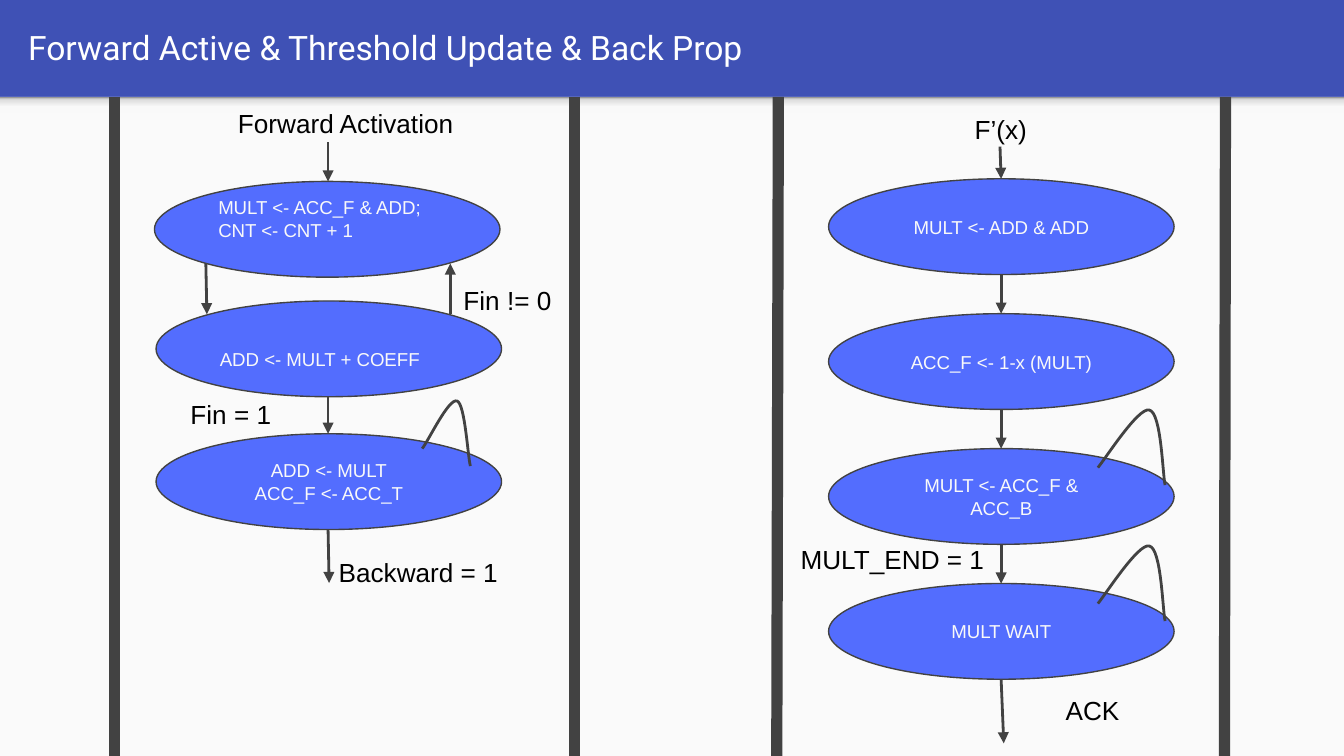
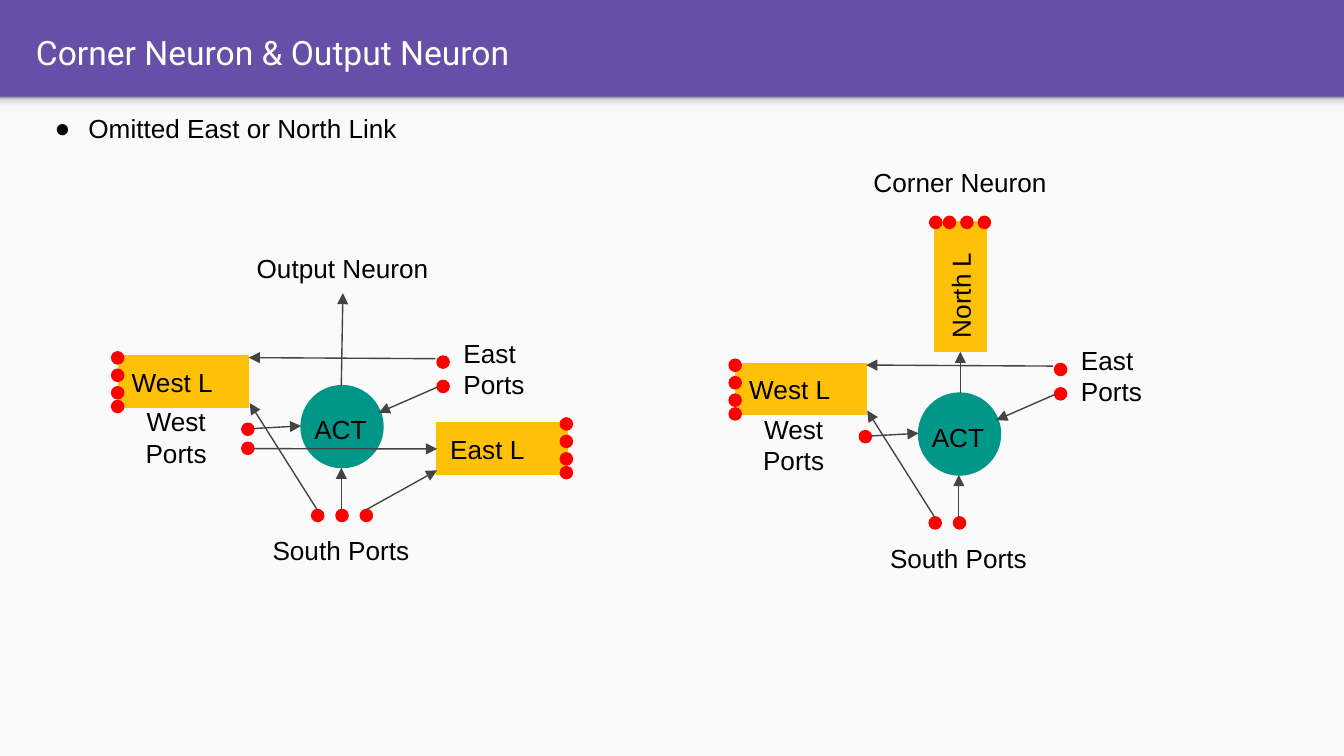
import dataclasses

import pptx
import pptx.dml.color
import pptx.enum.shapes
import pptx.enum.text
import pptx.oxml.ns
import pptx.util
from lxml import etree

Cm = pptx.util.Cm
Pt = pptx.util.Pt
RGB = pptx.dml.color.RGBColor.from_string
qn = pptx.oxml.ns.qn
SHAPE = pptx.enum.shapes.MSO_SHAPE
ANCHOR = pptx.enum.text.MSO_ANCHOR
LEFT = pptx.enum.text.PP_ALIGN.LEFT
CENTER = pptx.enum.text.PP_ALIGN.CENTER


@dataclasses.dataclass(frozen=True)
class Theme:
    blue_band: str = "3F51B5"
    purple_band: str = "674EA7"
    panel: str = "FAFAFA"
    white: str = "FFFFFF"
    black: str = "000000"
    state: str = "536DFE"
    state_text: str = "F9F9F9"
    flow_line: str = "424242"
    port_line: str = "434343"
    link_box: str = "FFC107"
    neuron: str = "009688"
    port: str = "FF0000"
    shade: tuple = ((0, "F9F9F9"), (36, "F9F9F9"), (80, "DEDEDE"), (100, "999999"))
    title_font: str = "Roboto"
    body_font: str = "Arial"
    title_size: int = 18
    label_size: int = 14
    state_size: int = 10
    thin: float = 0.75
    medium: float = 1.5
    rail: float = 6
    inset: float = 0.25


theme = Theme()


def put(shapes, kind, place, lines=(), align=LEFT, fill=None, outline=None,
        size=theme.label_size, color=theme.black, shift=0):
    left, top, width, height = [Cm(value) for value in place]
    if kind is None:
        box = shapes.add_textbox(left, top, width, height)
    else:
        box = shapes.add_shape(kind, left, top, width, height)
        box.shadow.inherit = False
        box.fill.solid()
        box.fill.fore_color.rgb = RGB(fill)
        if outline:
            box.line.color.rgb = RGB(outline)
            box.line.width = Pt(theme.thin)
        else:
            box.line.fill.background()
    frame = box.text_frame
    frame.word_wrap = True
    frame.vertical_anchor = ANCHOR.TOP if kind is None else ANCHOR.MIDDLE
    frame.margin_left = frame.margin_right = Cm(theme.inset)
    frame.margin_top = Cm(theme.inset + shift)
    frame.margin_bottom = Cm(theme.inset - shift)
    for index, line in enumerate(lines):
        para = frame.add_paragraph() if index else frame.paragraphs[0]
        para.alignment = align
        span = para.add_run()
        span.text = line
        span.font.name = theme.body_font
        span.font.size = Pt(size)
        span.font.color.rgb = RGB(color)
    return box


def link(shapes, start, end, color, width, arrow=True):
    line = shapes.add_connector(
        pptx.enum.shapes.MSO_CONNECTOR.STRAIGHT,
        *[Cm(value) for value in (*start, *end)])
    line.line.color.rgb = RGB(color)
    line.line.width = Pt(width)
    if arrow:
        etree.SubElement(line.line._get_or_add_ln(), qn("a:tailEnd"), type="triangle")
    etree.SubElement(line._element.spPr, qn("a:effectLst"))
    return line


deck = pptx.Presentation()
deck.slide_width = Cm(25.4)
deck.slide_height = Cm(14.29)

pages = []
for layout, band, heading, left, top in (
    (5, theme.blue_band, "Forward Active & Threshold Update & Back Prop", 0.28, 0.05),
    (1, theme.purple_band, "Corner Neuron & Output Neuron", 0.43, 0.15),
):
    page = deck.slides.add_slide(deck.slide_layouts[layout])
    page.background.fill.solid()
    page.background.fill.fore_color.rgb = RGB(band)
    title = page.shapes.title
    title.left, title.top, title.width, title.height = Cm(left), Cm(top), Cm(24.51), Cm(1.68)
    frame = title.text_frame
    frame.auto_size = pptx.enum.text.MSO_AUTO_SIZE.NONE
    frame.vertical_anchor = ANCHOR.MIDDLE
    frame.margin_left = frame.margin_right = Cm(theme.inset)
    frame.margin_top = frame.margin_bottom = Cm(theme.inset)
    frame.paragraphs[0].alignment = LEFT
    span = frame.paragraphs[0].add_run()
    span.text = heading
    span.font.name = theme.title_font
    span.font.size = Pt(theme.title_size)
    span.font.color.rgb = RGB(theme.white)
    pages.append(page)
flow_page, neuron_page = pages

panel = put(flow_page.shapes, SHAPE.RECTANGLE, (0, 1.83, 25.4, 12.46), fill=theme.panel)
shade = put(flow_page.shapes, SHAPE.RECTANGLE, (0, 1.83, 25.4, 0.3), fill=theme.panel)
shade.fill.gradient()
shade.fill.gradient_angle = 90
stops = shade._element.spPr.find(".//" + qn("a:gsLst"))
for stop in list(stops):
    stops.remove(stop)
for position, color in theme.shade:
    stop = etree.SubElement(stops, qn("a:gs"), pos=str(position * 1000))
    etree.SubElement(stop, qn("a:srgbClr"), val=color)
for index, part in enumerate((panel, shade)):
    part._element.nvSpPr.cNvPr.set("id", str(100 + index))
    deck.slide_master.shapes._spTree.insert(2 + index, part._element)

shapes = flow_page.shapes
state_width, state_height = 6.53, 1.81
back_left, back_top, back_step = 15.66, 3.38, 2.55
back_middle = 18.92
states = [
    (2.92, 3.43, ["MULT <- ACC_F & ADD;", "CNT <- CNT + 1"], LEFT, -0.2),
    (2.95, 5.69, ["ADD <- MULT + COEFF"], LEFT, 0.2),
    (2.95, 8.2, ["ADD <- MULT", "ACC_F <- ACC_T"], CENTER, 0),
]
arrows = [
    ((6.2, 2.69), (6.2, 3.43)),
    ((3.89, 4.98), (3.91, 5.94)),
    ((8.51, 5.94), (8.51, 4.98)),
    ((6.2, 7.5), (6.2, 8.2)),
    ((6.2, 10.01), (6.22, 11.02)),
    ((18.9, 2.77), (back_middle, back_top)),
    ((back_middle, 12.84), (18.97, 14.05)),
]
back_texts = ["MULT <- ADD & ADD", "ACC_F <- 1-x (MULT)", "MULT <- ACC_F & ACC_B", "MULT WAIT"]
for index, text in enumerate(back_texts):
    top = back_top + index * back_step
    states.append((back_left, top, [text], CENTER, 0))
    if index:
        arrows.append(((back_middle, top - back_step + state_height), (back_middle, top)))

for left, top, lines, align, shift in states:
    put(shapes, SHAPE.FLOWCHART_CONNECTOR, (left, top, state_width, state_height), lines, align,
        theme.state, theme.flow_line, theme.state_size, theme.state_text, shift)
for start, end in arrows:
    link(shapes, start, end, theme.flow_line, theme.medium)
for top_x, bottom_x in ((2.16, 2.16), (10.85, 10.85), (14.71, 14.68), (23.16, 23.14)):
    link(shapes, (top_x, 1.83), (bottom_x, 14.29), theme.flow_line, theme.rail, arrow=False)

small_loop = [(7.98, 8.48), (8.1, 8.33), (8.48, 7.52), (8.64, 7.58),
              (8.79, 7.64), (8.84, 8.61), (8.89, 8.81)]
large_loop = [(20.75, 8.84), (20.9, 8.66), (21.51, 7.7), (21.72, 7.75),
              (21.95, 7.8), (21.97, 8.94), (22.02, 9.17)]
for points, drop in ((small_loop, 0), (large_loop, 0), (large_loop, 2.57)):
    corners = [(Cm(x), Cm(y + drop)) for x, y in points]
    builder = shapes.build_freeform(*corners[0])
    builder.add_line_segments(corners[1:], close=False)
    loop = builder.convert_to_shape()
    loop.shadow.inherit = False
    loop.fill.background()
    loop.line.color.rgb = RGB(theme.flow_line)
    loop.line.width = Pt(theme.medium)
    outline = loop._element.spPr.find(".//" + qn("a:path"))
    segments = outline.findall(qn("a:lnTo"))
    for first in (0, 3):
        curve = etree.SubElement(outline, qn("a:cubicBezTo"))
        for segment in segments[first:first + 3]:
            curve.append(segment[0])
            outline.remove(segment)

for text, place, align in (
    ("Forward Activation", (3.12, 1.78, 6.83, 0.76), CENTER),
    ("Fin != 0", (8.51, 5.13, 2.34, 1.09), LEFT),
    ("Fin = 1", (3.35, 7.29, 2.34, 0.69), LEFT),
    ("Backward = 1", (6.15, 10.26, 3.73, 1.09), LEFT),
    ("F’(x)", (15.37, 1.9, 7.09, 0.84), CENTER),
    ("MULT_END = 1", (14.88, 10.03, 4.75, 0.69), LEFT),
    ("ACK", (19.89, 12.88, 2.97, 1.24), LEFT),
):
    put(shapes, None, place, [text], align)

body = neuron_page.placeholders[1]
body.left, body.top, body.width, body.height = Cm(0.15), Cm(1.88), Cm(8.33), Cm(5.79)
frame = body.text_frame
frame.auto_size = pptx.enum.text.MSO_AUTO_SIZE.NONE
frame.margin_left = frame.margin_right = frame.margin_top = frame.margin_bottom = Cm(theme.inset)
para = frame.paragraphs[0]
para.space_before = Pt(0)
bullet_rules = para._p.get_or_add_pPr()
bullet_rules.set("marL", str(Cm(1.27)))
bullet_rules.set("indent", str(Cm(-0.64)))
etree.SubElement(bullet_rules, qn("a:buChar"), char="●")
para.alignment = LEFT
span = para.add_run()
span.text = "Omitted East or North Link"
span.font.name = theme.body_font
span.font.size = Pt(theme.label_size)
span.font.color.rgb = RGB(theme.black)

link_size = (2.46, 0.97)
dot = 0.23
pin_steps = (0, 0.33, 0.66, 0.92)
for name, right, down, name_top, west_count, south_count in (
    ("Output Neuron", 0, 0, 4.52, 2, 3),
    ("Corner Neuron", 11.67, 0.14, 2.9, 1, 2),
):
    is_output = name == "Output Neuron"
    shapes = neuron_page.shapes.add_group_shape().shapes
    boxes = [("West L", 2.24 + right, 6.73 + down, 0)]
    boxes.append(("East L", 8.26, 8, 0) if is_output else ("North L", 16.92, 4.93, 270))
    for text, left, top, turn in boxes:
        far_box = put(shapes, SHAPE.RECTANGLE, (left, top, *link_size), [text],
                      fill=theme.link_box, outline=theme.link_box)
        far_box.rotation = turn
    put(shapes, SHAPE.OVAL, (5.69 + right, 7.29 + down, 1.55, 1.55),
        fill=theme.neuron, outline=theme.neuron)

    ports = [(4.57, 8 + 0.36 * index) for index in range(west_count)]
    ports += [(5.89 + 0.46 * index, 9.63) for index in range(south_count)]
    ports += [(8.26, 6.73), (8.26, 7.19)]
    ports += [(2.11, 6.65 + step) for step in pin_steps]
    dots = [(x + right, y + down) for x, y in ports]
    if is_output:
        dots += [(10.59, 7.9 + step) for step in pin_steps]
    else:
        dots += [(18.49 - step, 4.09) for step in pin_steps]
    for x, y in dots:
        put(shapes, SHAPE.OVAL, (x, y, dot, dot), fill=theme.port, outline=theme.port)

    wires = [
        ((8.23, 6.78), (4.7, 6.76)),
        ((4.8, 8.1), (5.69, 8.05)),
        ((5.99, 9.63), (4.72, 7.62)),
        ((6.45, 9.63), (6.45, 8.84)),
        ((8.26, 7.32), (7.16, 7.8)),
    ]
    if is_output:
        wires += [((6.45, 7.29), (6.48, 5.54)), ((6.93, 9.63), (8.26, 8.89))]
    for start, end in wires:
        link(shapes, (start[0] + right, start[1] + down), (end[0] + right, end[1] + down),
             theme.port_line, theme.thin)
    if is_output:
        wire = link(shapes, (4.8, 8.48), (8.26, 8.48), theme.port_line, theme.thin)
        wire.end_connect(far_box, 1)
    else:
        wire = link(shapes, (18.15, 7.43), (18.15, 6.65), theme.port_line, theme.thin)
        wire.end_connect(far_box, 1)
        wire.end_x, wire.end_y = Cm(18.15), Cm(6.65)

    for text, left, top, width, height, align in (
        ("ACT", 5.69, 7.57, 1.78, 0.97, LEFT),
        ("South Ports", 4.72, 9.86, 3.45, 0.97, CENTER),
        ("West Ports", 2.24, 7.42, 2.18, 0.79, CENTER),
        ("East Ports", 8.51, 6.12, 1.78, 1.55, LEFT),
        (name, 3.68, name_top - down, 5.59, 1.22, CENTER),
    ):
        put(shapes, None, (left + right, top + down, width, height), [text], align)

deck.save("out.pptx")
